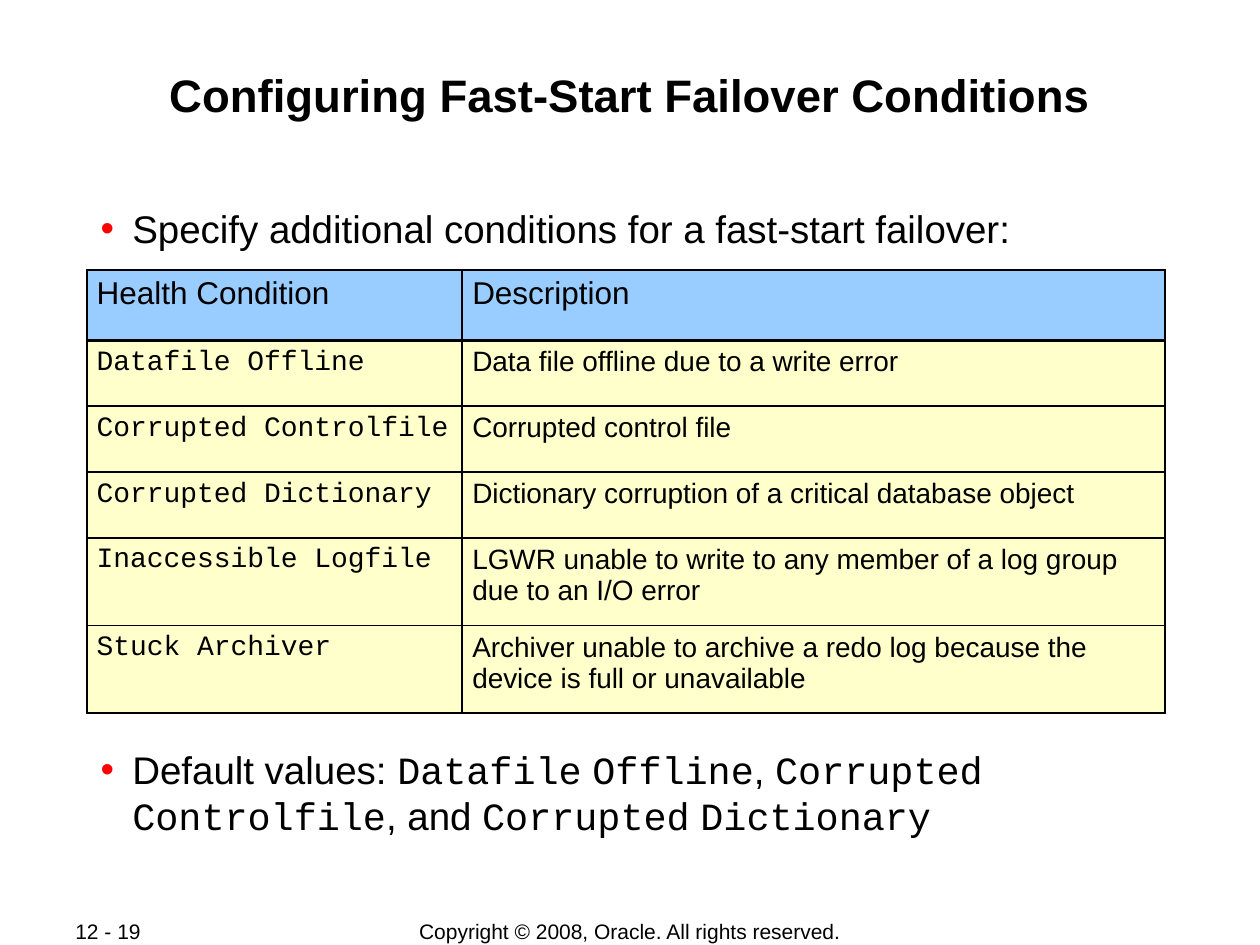
from pptx import Presentation
from pptx.dml.color import RGBColor as Rgb
from pptx.enum.text import MSO_ANCHOR as Anchor, PP_ALIGN as Align
from pptx.oxml import parse_xml
from pptx.oxml.ns import nsdecls
from pptx.util import Cm, Pt

HUES = {"ink": "000000", "dot": "FF0000", "head": "99CCFF", "row": "FFFFCC"}
SANS, MONO = "Arial", "Courier New"

COLS = [7.57, 14.17]
ROWS = [
    (1.42, "Health Condition", "Description"),
    (1.33, "Datafile Offline", "Data file offline due to a write error"),
    (1.33, "Corrupted Controlfile", "Corrupted control file"),
    (1.33, "Corrupted Dictionary",
     "Dictionary corruption of a critical database object"),
    (1.76, "Inaccessible Logfile",
     "LGWR unable to write to any member of a log group due to an I/O error"),
    (1.76, "Stuck Archiver",
     "Archiver unable to archive a redo log because the device is full "
     "or unavailable"),
]
# Each bullet is a list of (text, font) pieces.
INTRO = [("Specify additional conditions for a fast-start failover:", SANS)]
VALUES = [
    ("Default values: ", SANS),
    ("Datafile", MONO), (" ", SANS), ("Offline", MONO), (", ", SANS),
    ("Corrupted", MONO), (" ", SANS), ("Controlfile", MONO), (", and ", SANS),
    ("Corrupted", MONO), (" ", SANS), ("Dictionary", MONO),
]


class Deck:
    def __init__(self):
        self.prs = Presentation()
        self.prs.slide_width, self.prs.slide_height = Cm(25.4), Cm(19.05)
        self.slide = self.prs.slides.add_slide(self.prs.slide_layouts[6])

    def style(self, run, size, face=SANS, bold=False):
        font = run.font
        font.size, font.name, font.bold = Pt(size), face, bold
        font.color.rgb = Rgb.from_string(HUES["ink"])

    def frame(self, box, pad=(0.03, 0.03)):
        """Add a wrapping text box; pad is its side and top inset."""
        text = self.slide.shapes.add_textbox(*map(Cm, box)).text_frame
        text.word_wrap = True
        text.margin_left = text.margin_right = Cm(pad[0])
        text.margin_top = text.margin_bottom = Cm(pad[1])
        return text

    def title(self, text, box):
        para = self.frame(box).paragraphs[0]
        para.text, para.alignment = text, Align.CENTER
        self.style(para.runs[0], 26, bold=True)

    def footer(self, text, box, align):
        frame = self.frame(box, (0.25, 0.13))
        frame.vertical_anchor = Anchor.MIDDLE
        para = frame.paragraphs[0]
        para.text, para.alignment = text, align
        self.style(para.runs[0], 12)

    def bullets(self, items, box, gap):
        frame = self.frame(box)
        for i, pieces in enumerate(items):
            para = frame.add_paragraph() if i else frame.paragraphs[0]
            props = para._p.get_or_add_pPr()
            props.set("marL", str(Cm(0.94)))
            props.set("indent", str(Cm(-0.64)))
            for tag in (f'buClr {nsdecls("a")}><a:srgbClr val="{HUES["dot"]}"/></a:buClr',
                        f'buFont {nsdecls("a")} typeface="{SANS}"/',
                        f'buChar {nsdecls("a")} char="•"/'):
                props.append(parse_xml(f"<a:{tag}>"))
            if i:
                para.space_before = Pt(gap)
            for text, face in pieces:
                run = para.add_run()
                run.text = text
                self.style(run, 22, face)

    def edges(self, cell, top, base):
        """Draw the four borders of a cell; top and base are widths in points."""
        props = cell._tc.get_or_add_tcPr()
        sides = [("L", 1.08), ("R", 1.08), ("T", top), ("B", base)]
        for i, (side, width) in enumerate(sides):
            props.insert(i, parse_xml(
                f'<a:ln{side} {nsdecls("a")} w="{Pt(width)}"><a:solidFill>'
                f'<a:srgbClr val="{HUES["ink"]}"/></a:solidFill></a:ln{side}>'))

    def table(self, rows, cols, left, top):
        high = sum(row[0] for row in rows)
        grid = self.slide.shapes.add_table(
            len(rows), len(cols), Cm(left), Cm(top), Cm(sum(cols)), Cm(high)).table
        grid.first_row = grid.horz_banding = False
        for c, width in enumerate(cols):
            grid.columns[c].width = Cm(width)
        for r, (height, *texts) in enumerate(rows):
            grid.rows[r].height = Cm(height)
            for c, text in enumerate(texts):
                cell = grid.cell(r, c)
                cell.margin_left = cell.margin_right = Cm(0.2)
                cell.margin_top = cell.margin_bottom = Cm(0.13)
                cell.fill.solid()
                cell.fill.fore_color.rgb = Rgb.from_string(HUES["row" if r else "head"])
                self.edges(cell, 2.21 if r == 1 else 1.08, 1.08 if r else 2.21)
                cell.text_frame.text = text
                run = cell.text_frame.paragraphs[0].runs[0]
                self.style(run, 16 if r else 18, MONO if r and c == 0 else SANS)


def main():
    deck = Deck()
    deck.footer("Copyright © 2008, Oracle. All rights reserved.",
                (7, 18.5, 11.4, 0.53), Align.CENTER)
    deck.footer("12 - 19", (1.27, 18.5, 2.7, 0.53), Align.LEFT)
    deck.title("Configuring Fast-Start Failover Conditions", (1.7, 1.32, 22, 2.44))
    deck.bullets([INTRO, VALUES], (1.7, 4.1, 22, 12.78), gap=283)
    deck.table(ROWS, COLS, 1.75, 5.44)
    deck.prs.save("out.pptx")


if __name__ == "__main__":
    main()
